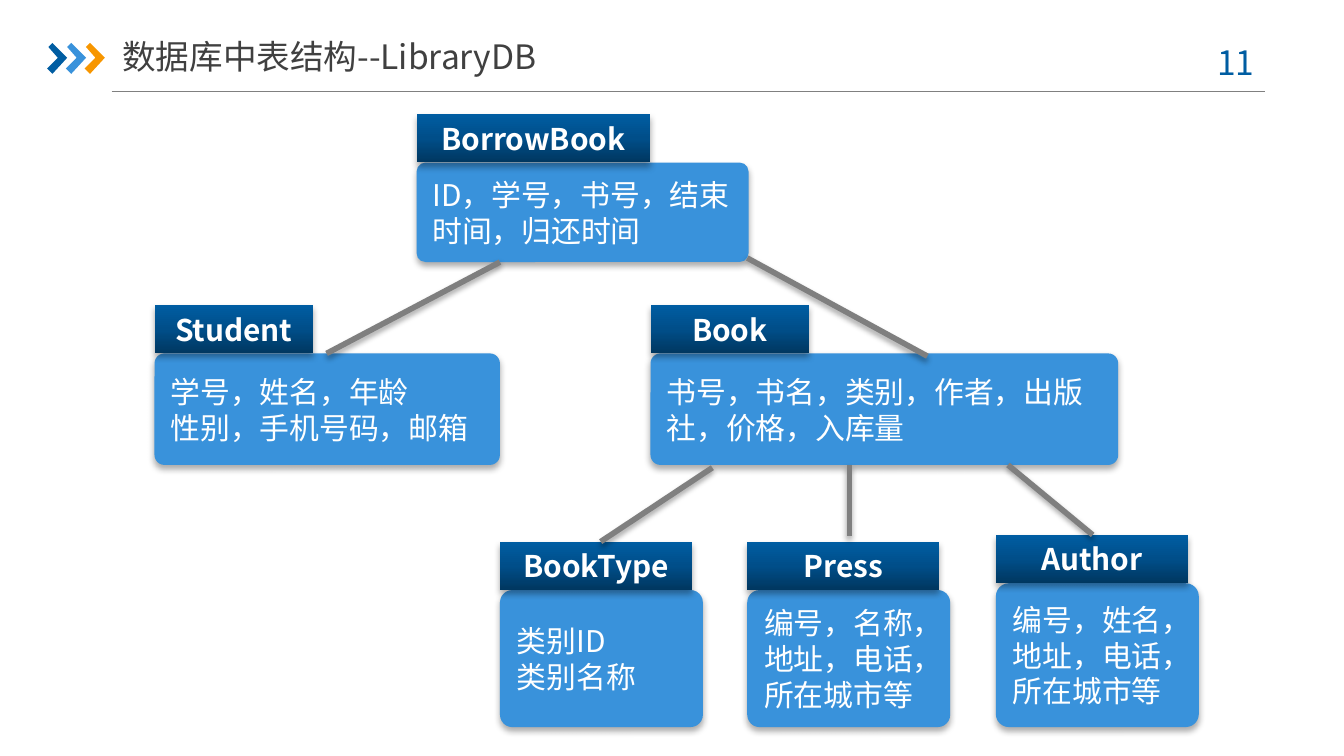
import pptx
import pptx.util
import pptx.dml.color
import pptx.enum.shapes
import pptx.enum.text
import pptx.oxml
import pptx.oxml.ns

# Content
TITLE = "数据库中表结构--LibraryDB"
PAGE_NUMBER = "11"
FONT = "Noto Sans CJK SC"
NAVY, BLUE, ORANGE = "005DA2", "3992DB", "F79600"
WHITE, DARK, RULE, LINK = "FFFFFF", "404040", "808080", "7F7F7F"
HEADER_STOPS = [(0, "003760"), (50, "004E89"), (100, NAVY)]

# Columns and rows of the tree, in inches
STUDENT_X, BORROW_X, TYPE_X, BOOK_X, PRESS_X, AUTHOR_X = 1.15, 3.1, 3.72, 4.84, 5.56, 7.41
TOP_ROW, MIDDLE_ROW, BOTTOM_ROW, AUTHOR_ROW = 1.21, 2.63, 4.39, 4.34
HEADER_HEIGHT = 0.36
BOTTOM_EDGE = 5.41

# name, left, body top, body width, body height, header width, paragraphs
TABLES = [
    ("Student", STUDENT_X, MIDDLE_ROW, 2.57, 0.83, 1.18,
     ["学号，姓名，年龄", "性别，手机号码，邮箱"]),
    ("Book", BOOK_X, MIDDLE_ROW, 3.48, 0.83, 1.18,
     ["书号，书名，类别，作者，出版社，价格，入库量"]),
    ("BookType", TYPE_X, BOTTOM_ROW, 1.51, BOTTOM_EDGE - BOTTOM_ROW, 1.43,
     ["类别ID", "类别名称"]),
    ("Press", PRESS_X, BOTTOM_ROW, 1.51, BOTTOM_EDGE - BOTTOM_ROW, 1.43,
     ["编号，名称，地址，电话，所在城市等"]),
    ("Author", AUTHOR_X, AUTHOR_ROW, 1.51, BOTTOM_EDGE - AUTHOR_ROW, 1.43,
     ["编号，姓名，地址，电话，所在城市等"]),
    ("BorrowBook", BORROW_X, TOP_ROW, 2.47, 0.74, 1.74,
     ["ID，学号，书号，结束时间，归还时间"]),
]
LINKS = [
    (2.43, 2.63, 3.72, 1.95),
    (5.56, 1.92, 6.9, 2.65),
    (7.5, 3.46, 8.13, 3.98),
    (4.47, 4.03, 5.3, 3.48),
    (6.32, 3.46, 6.32, 3.99),
]
CHEVRON = [(0.01, 0.03), (0.04, 0), (0.15, 0.11), (0.04, 0.23), (0, 0.19), (0.08, 0.11)]
CHEVRON_LEFT, CHEVRON_TOP, CHEVRON_STEP = 0.35, 0.32, 0.14

Inches, Pt = pptx.util.Inches, pptx.util.Pt
SHAPE = pptx.enum.shapes.MSO_SHAPE
ALIGN = pptx.enum.text.PP_ALIGN
ANCHOR = pptx.enum.text.MSO_ANCHOR
NAMESPACE = pptx.oxml.ns.nsdecls("a")


def color(value):
    return pptx.dml.color.RGBColor.from_string(value)


def add_xml(parent, tag, attributes="", content=""):
    """Append a DrawingML element to parent and return it."""
    element = pptx.oxml.parse_xml(f"<a:{tag} {NAMESPACE} {attributes}>{content}</a:{tag}>")
    parent.append(element)
    return element


def add_shadow(effects, blur, distance, opacity):
    add_xml(effects, "outerShdw",
            f'blurRad="{Pt(blur)}" dist="{Pt(distance)}" dir="5400000" rotWithShape="0"',
            f'<a:srgbClr val="000000"><a:alpha val="{opacity * 1000}"/></a:srgbClr>')


def write(shape, lines, size, ink, align=ALIGN.LEFT, bold=False, wrap=True):
    frame = shape.text_frame
    frame.word_wrap = wrap
    frame.text = "\n".join(lines)
    for paragraph in frame.paragraphs:
        paragraph.alignment = align
        for run in paragraph.runs:
            run.font.size, run.font.bold, run.font.name = Pt(size), bold, FONT
            run.font.color.rgb = color(ink)
            add_xml(run.font._element, "ea", f'typeface="{FONT}"')
    return frame


def add_box(shapes, kind, left, top, width, height):
    shape = shapes.add_shape(kind, *map(Inches, (left, top, width, height)))
    shape.line.fill.background()
    shape.shadow.inherit = False
    add_shadow(shape._element.spPr.find(pptx.oxml.ns.qn("a:effectLst")), 3.5, 2.2, 32)
    shape.text_frame.vertical_anchor = ANCHOR.MIDDLE
    return shape


def add_line(shapes, ends, ink, width):
    line = shapes.add_connector(pptx.enum.shapes.MSO_CONNECTOR.STRAIGHT, *map(Inches, ends))
    line.line.color.rgb = color(ink)
    line.line.width = Pt(width)
    return add_xml(line._element.spPr, "effectLst")


def add_table_box(shapes, name, left, top, width, height, header_width, lines):
    body = add_box(shapes, SHAPE.ROUNDED_RECTANGLE, left, top, width, height)
    body.adjustments[0] = 0.09
    body.fill.solid()
    body.fill.fore_color.rgb = color(BLUE)
    write(body, lines, 16, WHITE)

    header = add_box(shapes, SHAPE.RECTANGLE, left, top - HEADER_HEIGHT, header_width, HEADER_HEIGHT)
    properties = header._element.spPr
    stops = "".join(f'<a:gs pos="{share * 1000}"><a:srgbClr val="{ink}"/></a:gs>'
                    for share, ink in HEADER_STOPS)
    gradient = add_xml(properties, "gradFill", 'rotWithShape="1"',
                       f'<a:gsLst>{stops}</a:gsLst><a:lin ang="16200000" scaled="0"/>')
    properties.find(pptx.oxml.ns.qn("a:prstGeom")).addnext(gradient)
    write(header, [name], 16, WHITE, ALIGN.CENTER, bold=True)


def main():
    presentation = pptx.Presentation()
    presentation.slide_width = Inches(10)
    presentation.slide_height = presentation.slide_width * 9 // 16
    slide = presentation.slides.add_slide(presentation.slide_layouts[6])
    shapes = slide.shapes

    # Heading: rule, chevrons, page number and title
    add_line(shapes, (0.83, 0.68, 9.41, 0.68), RULE, 0.75)
    for index, ink in enumerate((NAVY, BLUE, ORANGE)):
        left = CHEVRON_LEFT + index * CHEVRON_STEP
        points = [(Inches(left + x), Inches(CHEVRON_TOP + y)) for x, y in CHEVRON]
        builder = shapes.build_freeform(*points[0])
        builder.add_line_segments(points[1:], close=True)
        chevron = builder.convert_to_shape()
        chevron.fill.solid()
        chevron.fill.fore_color.rgb = color(ink)
        chevron.line.fill.background()
        chevron.shadow.inherit = False
    number = shapes.add_textbox(*map(Inches, (8.83, 0.26, 0.73, 0.4)))
    write(number, [PAGE_NUMBER], 18, NAVY, ALIGN.CENTER)
    title = shapes.add_textbox(*map(Inches, (0.91, 0.21, 3.39, 0.42)))
    frame = write(title, [TITLE], 18, DARK, wrap=False)
    frame.margin_left = frame.margin_right = 0
    frame.vertical_anchor = ANCHOR.MIDDLE

    # Tables, then the links between them
    for table in TABLES:
        add_table_box(shapes, *table)
    for ends in LINKS:
        add_shadow(add_line(shapes, ends, LINK, 3), 3.1, 1.8, 35)

    presentation.save("out.pptx")


if __name__ == "__main__":
    main()
